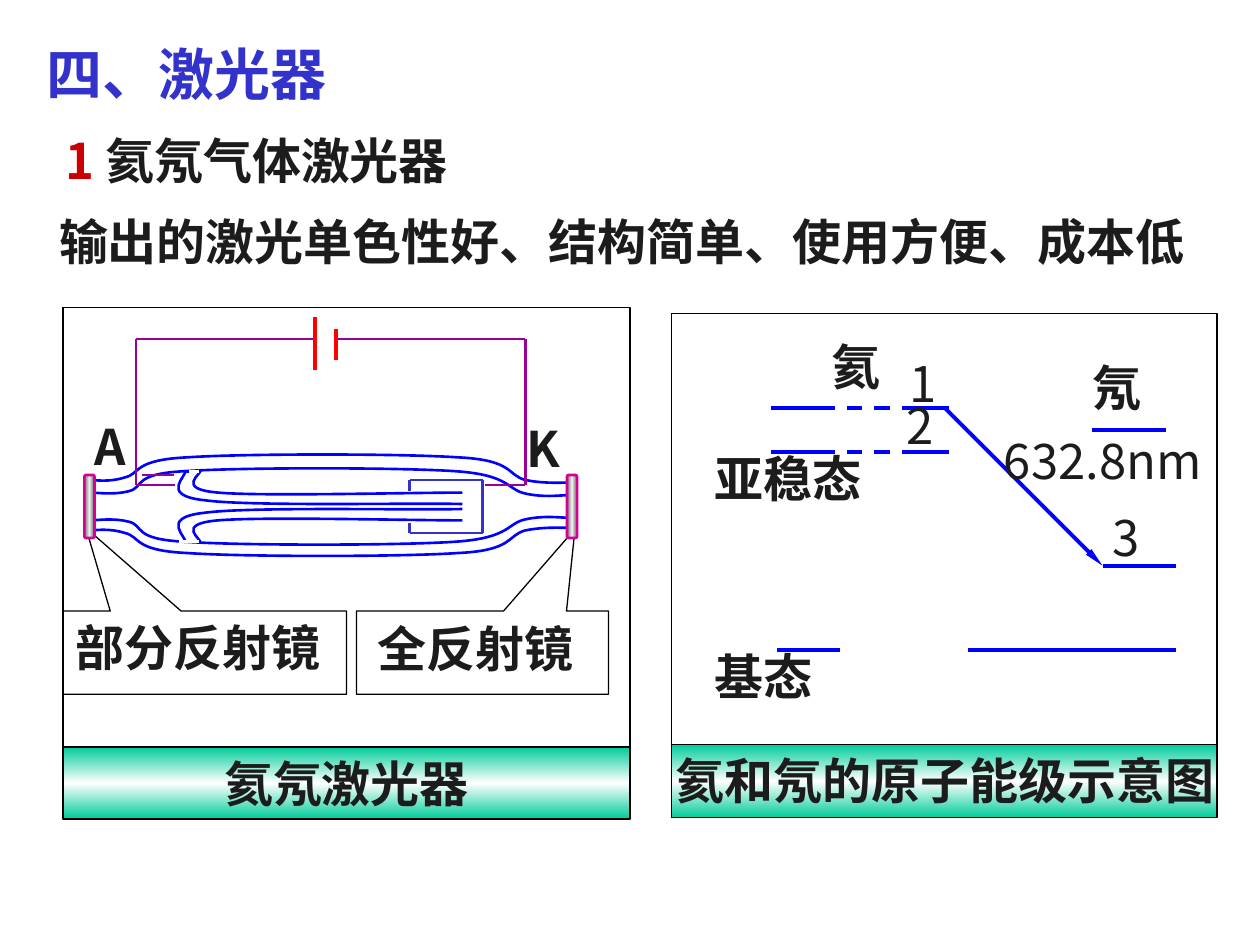
import copy

import pptx
import pptx.util
from pptx.dml.color import RGBColor
from pptx.enum.dml import MSO_LINE
from pptx.enum.shapes import MSO_CONNECTOR, MSO_SHAPE
from pptx.enum.text import MSO_ANCHOR, MSO_AUTO_SIZE, PP_ALIGN
from pptx.oxml.ns import qn
from pptx.oxml.xmlchemy import OxmlElement
from pptx.util import Inches

FONT = "Noto Sans CJK SC"
INK = RGBColor(0x1C, 0x1C, 0x1C)
BLACK = RGBColor(0, 0, 0)
WHITE = RGBColor(0xFF, 0xFF, 0xFF)
BLUE = RGBColor(0, 0, 0xFF)
NAVY = RGBColor(0x33, 0x33, 0xCC)
RED = RGBColor(0xFF, 0, 0)
CRIMSON = RGBColor(0xCC, 0, 0)
PURPLE = RGBColor(0x99, 0, 0x99)
PINK = RGBColor(0xD6, 0, 0x93)
GREEN = RGBColor(0, 0xCC, 0x99)
GREY = RGBColor(0x6E, 0x6E, 0x6E)
SILVER = RGBColor(0xEE, 0xEE, 0xEE)

# Glass and cathode curves: x from the panel's left, distance from the tube's axis.
# A start point is followed by Bezier triples.
OUTER = [(0.21, 0.2), (0.26, 0.2), (0.36, 0.18), (0.49, 0.22),
         (0.62, 0.25), (0.55, 0.36), (0.99, 0.38),
         (1.43, 0.41), (2.69, 0.41), (3.13, 0.38),
         (3.58, 0.36), (3.52, 0.24), (3.67, 0.2),
         (3.82, 0.17), (3.96, 0.18), (4.03, 0.18)]
INNER = [(0.22, 0.11), (0.27, 0.11), (0.4, 0.09), (0.52, 0.12),
         (0.65, 0.15), (0.54, 0.26), (0.97, 0.28),
         (1.4, 0.31), (2.66, 0.31), (3.11, 0.28),
         (3.56, 0.25), (3.52, 0.13), (3.68, 0.1),
         (3.83, 0.07), (3.95, 0.09), (4.02, 0.09)]
SLEEVE = [(1.09, 0.29), (1.11, 0.26), (0.88, 0.14), (1.23, 0.11),
          (1.57, 0.08), (2.76, 0.11), (3.17, 0.11)]
CORE = [(0.97, 0.29), (1, 0.25), (0.75, 0.09), (1.12, 0.05),
        (1.48, 0), (2.74, 0.03), (3.17, 0.02)]


def write(frame, text, size=28, bold=True, color=INK, align=PP_ALIGN.LEFT, wrap=True):
    frame.word_wrap = wrap
    frame.auto_size = MSO_AUTO_SIZE.SHAPE_TO_FIT_TEXT
    frame.vertical_anchor = MSO_ANCHOR.TOP
    para = frame.paragraphs[0]
    para.text = text
    para.alignment = align
    font = para.font
    font.size, font.bold, font.name = pptx.util.Pt(size), bold, FONT
    font.color.rgb = color
    asian = OxmlElement("a:ea")
    asian.set("typeface", FONT)
    para._p.pPr.find(qn("a:defRPr")).append(asian)
    return para


def blend(shape, edge, mid, angle):
    """Fill with a gradient that runs from edge to mid and back."""
    fill = shape.fill
    fill.gradient()
    fill.gradient_angle = angle
    stops = shape._element.spPr.find(qn("a:gradFill")).find(qn("a:gsLst"))
    stops.insert(1, copy.deepcopy(stops[0]))
    for stop, place, color in zip(fill.gradient_stops, (0, 0.5, 1), (edge, mid, edge)):
        stop.position = place
        stop.color.rgb = color


def bend(form):
    """Turn each three line segments of a freeform into one Bezier segment."""
    route = next(form._element.iter(qn("a:path")))
    lines = route.findall(qn("a:lnTo"))
    for i in range(0, len(lines), 3):
        arc = OxmlElement("a:cubicBezTo")
        for line in lines[i:i + 3]:
            arc.append(line[0])
            route.remove(line)
        route.append(arc)


class Area:
    """Draws parts at inch offsets from a box's top left corner."""

    def __init__(self, shapes, left, top):
        self.shapes, self.left, self.top = shapes, left, top

    def spot(self, x, y):
        return Inches(self.left + x), Inches(self.top + y)

    def label(self, x, y, wide, text, high=0.57, **style):
        box = self.shapes.add_textbox(*self.spot(x, y), Inches(wide), Inches(high))
        return write(box.text_frame, text, **style)

    def shape(self, kind, x, y, wide, high, edge=BLACK, weight=0.75):
        form = self.shapes.add_shape(kind, *self.spot(x, y), Inches(wide), Inches(high))
        form.shadow.inherit = False
        form.fill.background()
        form.line.color.rgb = edge
        form.line.width = pptx.util.Pt(weight)
        return form

    def line(self, x1, y1, x2, y2, color=BLUE, weight=1.5):
        link = self.shapes.add_connector(MSO_CONNECTOR.STRAIGHT,
                                         *self.spot(x1, y1), *self.spot(x2, y2))
        link.line.color.rgb = color
        link.line.width = pptx.util.Pt(weight)
        link._element.spPr.append(OxmlElement("a:effectLst"))
        return link

    def chain(self, points, **style):
        for start, end in zip(points, points[1:]):
            self.line(*start, *end, **style)

    def curve(self, points):
        first, *rest = [self.spot(x, y) for x, y in points]
        pen = self.shapes.build_freeform(*first)
        pen.add_line_segments(rest, close=False)
        form = pen.convert_to_shape()
        bend(form)
        form.shadow.inherit = False
        form.fill.background()
        form.line.color.rgb = BLUE
        form.line.width = pptx.util.Pt(1.5)


def panel(slide, left, top, wide, high, foot):
    """Frame with a bar below; returns the area inside and the bar."""
    area = Area(slide.shapes.add_group_shape().shapes, left, top)
    frame = area.shape(MSO_SHAPE.RECTANGLE, 0, 0, wide, high)
    frame.fill.solid()
    frame.fill.fore_color.rgb = WHITE
    bar = area.shape(MSO_SHAPE.RECTANGLE, 0, high, wide, foot)
    blend(bar, GREEN, WHITE, 90)
    return area, bar


def tube(slide):
    """Laser tube with mirrors, electrodes and battery."""
    area, bar = panel(slide, 0.5, 2.44, 4.5, 3.49, 0.57)
    write(bar.text_frame, "氦氖激光器", align=PP_ALIGN.CENTER)
    for x, wide, tip in ((2.33, 2, (0.367, -1.487)), (0, 2.25, (-0.419, -1.5))):
        note = area.shape(MSO_SHAPE.RECTANGULAR_CALLOUT, x, 2.41, wide, 0.66)
        note.adjustments[0], note.adjustments[1] = tip
    axis = 1.58
    for side, blue, white in ((1, (0.97, 1.05), (0.92, 1.08)),
                              (-1, (0.97, 1.08), (1, 1.08))):
        for track, mid in ((OUTER, 1.57), (INNER, axis), (SLEEVE, axis), (CORE, axis)):
            area.curve([(x, mid + side * gap) for x, gap in track])
        rim = axis + side * 0.28
        for (x1, x2), color in ((blue, BLUE), (white, WHITE)):
            area.line(x1, rim, x2, rim, color=color)
    for x in (4, 0.17):
        mirror = area.shape(MSO_SHAPE.ROUNDED_RECTANGLE, x, 1.33, 0.08, 0.5, PINK, 1.5)
        blend(mirror, GREY, SILVER, 0)
    area.chain([(2.75, 1.46), (2.75, 1.37), (3.33, 1.37),
                (3.33, 1.79), (2.75, 1.79), (2.75, 1.71)], color=NAVY)
    area.chain([(2, 0.25), (0.58, 0.25), (0.58, 1.41), (0.89, 1.41)], color=PURPLE)
    area.chain([(2.17, 0.25), (3.67, 0.25), (3.67, 1.41), (3.35, 1.41)], color=PURPLE)
    area.line(0.63, 1.33, 0.88, 1.33, color=PURPLE)
    for x, y1, y2 in ((2, 0.08, 0.5), (2.17, 0.17, 0.42)):
        area.line(x, y1, x, y2, color=RED, weight=2.25)
    for x, y, wide, text in ((2.4, 2.42, 2.85, "全反射镜"), (0, 2.41, 3.18, "部分反射镜"),
                             (0.15, 0.82, 1.27, "A"), (3.58, 0.83, 1, "K")):
        area.label(x, y, wide, text)


def levels(slide):
    """Energy levels of the two gases."""
    area, _ = panel(slide, 5.33, 2.49, 4.33, 3.42, 0.58)
    area.label(-0.33, 3.42, 5, "氦和氖的原子能级示意图", align=PP_ALIGN.CENTER)

    def level(x1, x2, y):
        return area.line(x1, y, x2, y, weight=2.25)

    for y in (0.75, 1.1):
        level(1.2, 0.79, y)
        level(1.95, 1.2, y).line.dash_style = MSO_LINE.DASH
        level(1.95, 2.2, y)
    for x1, x2, y in ((1.34, 0.84, 2.67), (2.35, 4, 2.67), (3.42, 4, 2), (3.34, 3.92, 0.92)):
        level(x1, x2, y)
    jump = area.line(2.17, 0.75, 3.42, 2, weight=2.25)
    head = OxmlElement("a:tailEnd")
    for key, value in (("type", "triangle"), ("w", "sm"), ("len", "lg")):
        head.set(key, value)
    jump.line._get_or_add_ln().append(head)
    for x, y, wide, text in ((0.24, 2.59, 2.35, "基态"), (0.24, 1.02, 2.27, "亚稳态"),
                             (1.17, 0.13, 1.02, "氦"), (3.24, 0.3, 1.68, "氖")):
        area.label(x, y, wide, text)
    for x, y, wide, text in ((1.79, 0.27, 0.6, "1"), (1.77, 0.6, 0.77, "2"),
                             (3.4, 1.49, 1.18, "3")):
        area.label(x, y, wide, text, bold=False)
    area.label(2.54, 0.88, 1.83, "632.8nm", bold=False, wrap=False)


def heading(slide):
    title = slide.shapes.title
    title.left, title.top = Inches(0.27), Inches(0.26)
    title.width, title.height = Inches(5.1), Inches(0.64)
    write(title.text_frame, "四、激光器", size=32, color=NAVY)
    page = Area(slide.shapes, 0, 0)
    topic = page.label(0.42, 0.99, 5.52, "1 ")
    topic.runs[0].font.color.rgb = CRIMSON
    topic.add_run().text = "氦氖气体激光器"
    page.label(0.37, 1.63, 9.41, "输出的激光单色性好、结构简单、使用方便、成本低", high=1.04)


def main():
    deck = pptx.Presentation()
    deck.slide_width, deck.slide_height = Inches(10), Inches(7.5)
    slide = deck.slides.add_slide(deck.slide_layouts[5])
    heading(slide)
    tube(slide)
    levels(slide)
    deck.save("out.pptx")


if __name__ == "__main__":
    main()
